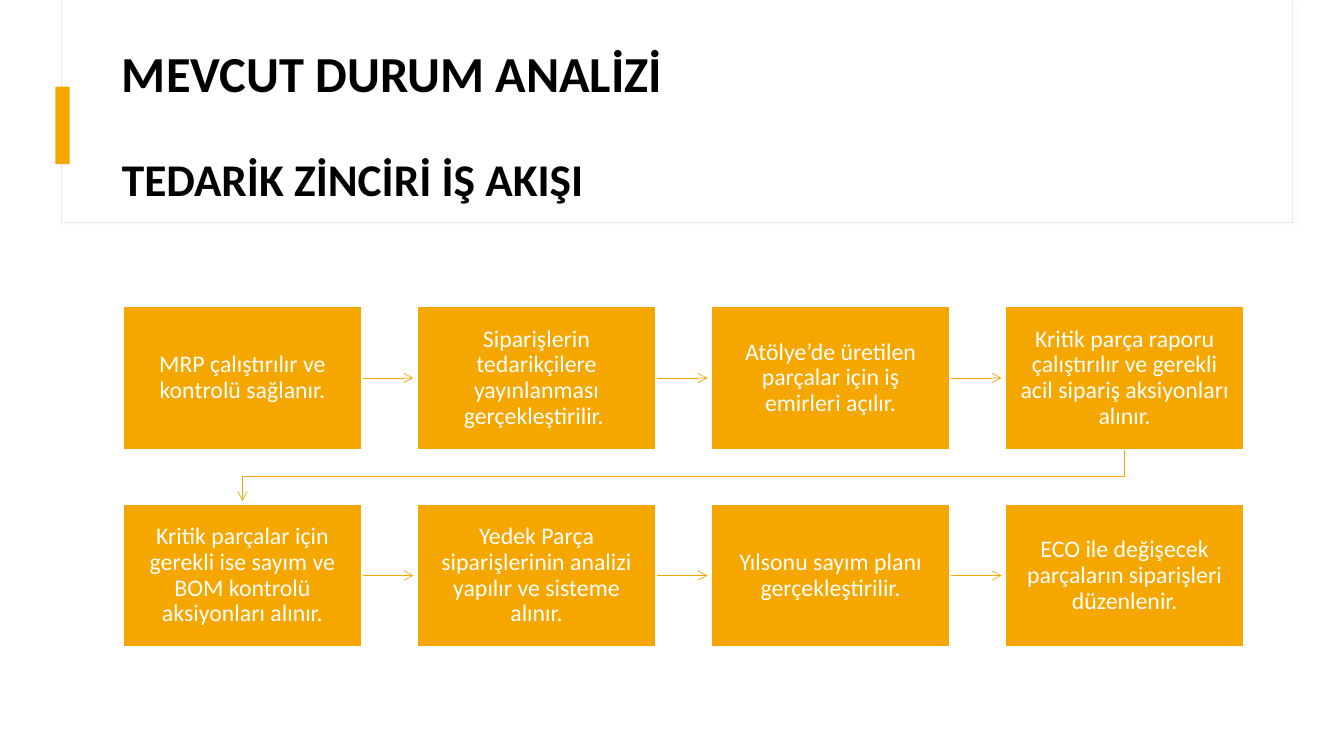
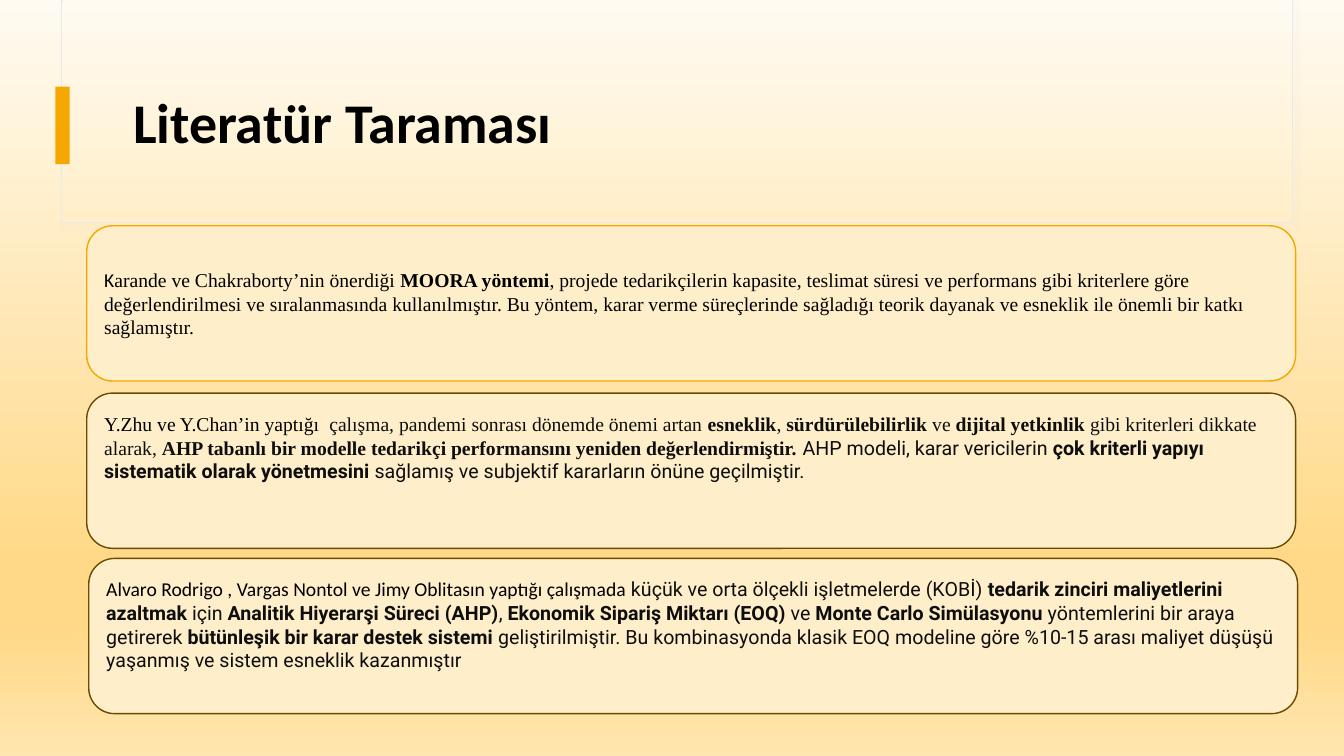
from lxml import etree
from pptx import Presentation
from pptx.dml.color import RGBColor
from pptx.enum.shapes import MSO_CONNECTOR, MSO_SHAPE
from pptx.enum.text import MSO_ANCHOR, MSO_AUTO_SIZE, PP_ALIGN
from pptx.oxml.ns import qn
from pptx.util import Inches, Pt

RECT = MSO_SHAPE.RECTANGLE
ROUND = MSO_SHAPE.ROUNDED_RECTANGLE
STRAIGHT = MSO_CONNECTOR.STRAIGHT
MIDDLE = MSO_ANCHOR.MIDDLE
LEFT, CENTER = PP_ALIGN.LEFT, PP_ALIGN.CENTER
NO_FIT = MSO_AUTO_SIZE.NONE

WHITE = RGBColor(0xFF, 0xFF, 0xFF)
BLACK = RGBColor(0, 0, 0)
INK = RGBColor(0x0E, 0x0E, 0x0E)
AMBER = RGBColor(0xF5, 0xA7, 0x00)
BROWN = RGBColor(0x6B, 0x49, 0x00)
CREAM = RGBColor(0xFF, 0xEE, 0xCA)
GREY = RGBColor(0xE9, 0xE9, 0xE9)
SHADE = RGBColor(0xD9, 0xD9, 0xD9)
FADE = [
    (0, RGBColor(0xFF, 0xFB, 0xF2)),
    (74, RGBColor(0xFF, 0xD9, 0x88)),
    (83, RGBColor(0xFF, 0xD9, 0x88)),
    (100, RGBColor(0xFF, 0xE6, 0xAF)),
]
SANS, SERIF, ROBOTO = "Calibri", "Times New Roman", "Roboto"

STEPS = [
    "MRP çalıştırılır ve kontrolü sağlanır.",
    "Siparişlerin tedarikçilere yayınlanması gerçekleştirilir. ",
    "Atölye’de üretilen parçalar için iş emirleri açılır.",
    "Kritik parça raporu çalıştırılır ve gerekli acil sipariş aksiyonları alınır.",
    "Kritik parçalar için gerekli ise sayım ve BOM kontrolü aksiyonları alınır.",
    "Yedek Parça siparişlerinin analizi yapılır ve sisteme alınır.",
    "Yılsonu sayım planı gerçekleştirilir.",
    "ECO ile değişecek parçaların siparişleri düzenlenir.",
]

CARDS = [
    (0.86, 2.24, AMBER, 0.05, [
        (SANS, BLACK, "K"),
        (SERIF, BLACK, "arande ve Chakraborty’nin önerdiği *MOORA yöntemi*, projede "
         "tedarikçilerin kapasite, teslimat süresi ve performans gibi kriterlere göre "
         "değerlendirilmesi ve sıralanmasında kullanılmıştır. Bu yöntem, karar verme "
         "süreçlerinde sağladığı teorik dayanak ve esneklik ile önemli bir katkı "
         "sağlamıştır."),
    ]),
    (0.86, 3.9, BROWN, 0.51, [
        (SERIF, BLACK, "Y.Zhu ve Y.Chan’in yaptığı "),
        (SERIF, INK, " çalışma, pandemi sonrası dönemde önemi artan *esneklik*, "
         "*sürdürülebilirlik* ve *dijital yetkinlik* gibi kriterleri dikkate alarak, "
         "*AHP tabanlı bir modelle tedarikçi performansını yeniden değerlendirmiştir. *"),
        (ROBOTO, INK, "AHP modeli, karar vericilerin *çok kriterli yapıyı sistematik "
         "olarak yönetmesini* sağlamış ve subjektif kararların önüne geçilmiştir."),
    ]),
    (0.88, 5.54, BROWN, 0.28, [
        (SANS, BLACK, "Alvaro Rodrigo , Vargas Nontol ve Jimy Oblitasın yaptığı çalışmada "),
        (ROBOTO, INK, "küçük ve orta ölçekli işletmelerde (KOBİ) *tedarik zinciri "
         "maliyetlerini azaltmak* için *Analitik Hiyerarşi Süreci (AHP)*, *Ekonomik "
         "Sipariş Miktarı (EOQ)* ve *Monte Carlo Simülasyonu* yöntemlerini bir araya "
         "getirerek *bütünleşik bir karar destek sistemi* geliştirilmiştir. Bu "
         "kombinasyonda klasik EOQ modeline göre %10-15 arası maliyet düşüşü yaşanmış "
         "ve sistem esneklik kazanmıştır"),
    ]),
]


def style(run, size, color, name=SANS, bold=False):
    font = run.font
    font.size, font.name, font.bold = Pt(size), name, bold
    font.color.rgb = color


def add_box(slide, kind, box, fill=None, line=None, width=1):
    shape = slide.shapes.add_shape(kind, *map(Inches, box))
    shape.shadow.inherit = False
    if fill is None:
        shape.fill.background()
        shape.element.set("useBgFill", "1")
    else:
        shape.fill.solid()
        shape.fill.fore_color.rgb = fill
    if line is None:
        shape.line.fill.background()
    else:
        shape.line.color.rgb = line
        shape.line.width = Pt(width)
    return shape


def add_color(parent, color):
    return etree.SubElement(parent, qn("a:srgbClr"), val=str(color))


def cast(shape):
    effects = shape.element.spPr.find(qn("a:effectLst"))
    outer = etree.SubElement(effects, qn("a:outerShdw"), blurRad=str(Pt(4)),
                             dist=str(Pt(3)), dir="2700000", algn="tl", rotWithShape="0")
    etree.SubElement(add_color(outer, SHADE), qn("a:alpha"), val="30000")


def fade(slide):
    fill = slide.background.fill
    fill.gradient()
    fill.gradient_angle = 270
    stops = slide.element.find(".//" + qn("a:gsLst"))
    for stop in list(stops):
        stops.remove(stop)
    for pos, color in FADE:
        add_color(etree.SubElement(stops, qn("a:gs"), pos=str(pos * 1000)), color)


def add_header(slide, box, lines):
    cast(add_box(slide, RECT, (0.61, 0, 12.21, 2.21), line=GREY, width=0.75))
    add_box(slide, RECT, (0.62, 0, 12.19, 2.2))
    add_box(slide, RECT, (0.55, 0.86, 0.14, 0.77), AMBER)
    title = slide.shapes.title
    title.element.getparent().append(title.element)
    title.left, title.top, title.width, title.height = map(Inches, box)
    frame = title.text_frame
    frame.text = "\n".join(text for text, size in lines)
    frame.auto_size, frame.vertical_anchor = NO_FIT, MIDDLE
    for i, (para, (text, size)) in enumerate(zip(frame.paragraphs, lines)):
        para.alignment, para.line_spacing = LEFT, 0.9
        para.space_before = Pt(39 if i else 0)
        style(para.runs[0], size, BLACK, bold=True)


def point(shape):
    shape.line.color.rgb = AMBER
    shape.line.width = Pt(0.5)
    etree.SubElement(shape.element.spPr.find(qn("a:ln")), qn("a:tailEnd"), type="arrow")


def add_arrow(slide, x, y, length):
    arrow = slide.shapes.add_connector(
        STRAIGHT, Inches(x), Inches(y), Inches(x + length), Inches(y))
    point(arrow)
    etree.SubElement(arrow.element.spPr, qn("a:effectLst"))


def add_turn(slide, start, end):
    (x1, y1), (x2, y2) = start, end
    mid = (y1 + y2) / 2 + 0.01
    path = slide.shapes.build_freeform(Inches(x1), Inches(y1))
    path.add_line_segments(
        [(Inches(x), Inches(y)) for x, y in ((x1, mid), (x2, mid), (x2, y2))], close=False)
    turn = path.convert_to_shape()
    turn.shadow.inherit = False
    turn.fill.background()
    point(turn)


def add_step(slide, box, text):
    shape = add_box(slide, RECT, box, AMBER, WHITE)
    frame = shape.text_frame
    frame.text = text
    frame.word_wrap, frame.vertical_anchor = True, MIDDLE
    frame.margin_left = frame.margin_right = Inches(0.12)
    frame.margin_top = frame.margin_bottom = Inches(0.12)
    para = frame.paragraphs[0]
    para.alignment, para.line_spacing = CENTER, 0.9
    style(para.runs[0], 17, WHITE)


def add_flow(slide, box, steps, cols=4):
    left, top, width, height = box
    wide, high, reach = 2.37, 1.42, 0.51
    dx = (width - wide) / (cols - 1)
    dy = height - high
    base = top + high
    add_turn(slide, (left + width - wide / 2, base), (left + wide / 2, base + reach))
    for i, text in enumerate(steps):
        row, col = divmod(i, cols)
        x, y = left + col * dx, top + row * dy
        if col < cols - 1:
            add_arrow(slide, x + wide, y + high / 2, reach)
        add_step(slide, (x, y, wide, high), text)


def add_card(slide, box, line, foot, parts):
    shape = add_box(slide, ROUND, box, CREAM, line)
    frame = shape.text_frame
    frame.word_wrap, frame.vertical_anchor = True, MIDDLE
    frame.margin_bottom = Inches(foot)
    para = frame.paragraphs[0]
    para.alignment = LEFT
    for name, color, text in parts:
        for i, piece in enumerate(text.split("*")):
            if piece:
                run = para.add_run()
                run.text = piece
                style(run, 14, color, name, i % 2 == 1)


def flow_slide(deck):
    slide = deck.slides.add_slide(deck.slide_layouts[5])
    slide.background.fill.solid()
    slide.background.fill.fore_color.rgb = WHITE
    add_header(slide, (1.11, 0.62, 11.12, 1.29),
               [("MEVCUT DURUM ANALİZİ", 36), ("TEDARİK ZİNCİRİ İŞ AKIŞI", 32.4)])
    add_flow(slide, (1.22, 3.04, 11.12, 3.38), STEPS)


def review_slide(deck):
    slide = deck.slides.add_slide(deck.slide_layouts[5])
    fade(slide)
    add_header(slide, (1.22, 0.6, 11.12, 1.29), [("Literatür Taraması", 40)])
    for x, y, line, foot, parts in CARDS:
        add_card(slide, (x, y, 11.99, 1.54), line, foot, parts)


def main():
    deck = Presentation()
    deck.slide_width, deck.slide_height = Inches(13.33), Inches(7.5)
    flow_slide(deck)
    review_slide(deck)
    deck.save("out.pptx")


if __name__ == "__main__":
    main()
